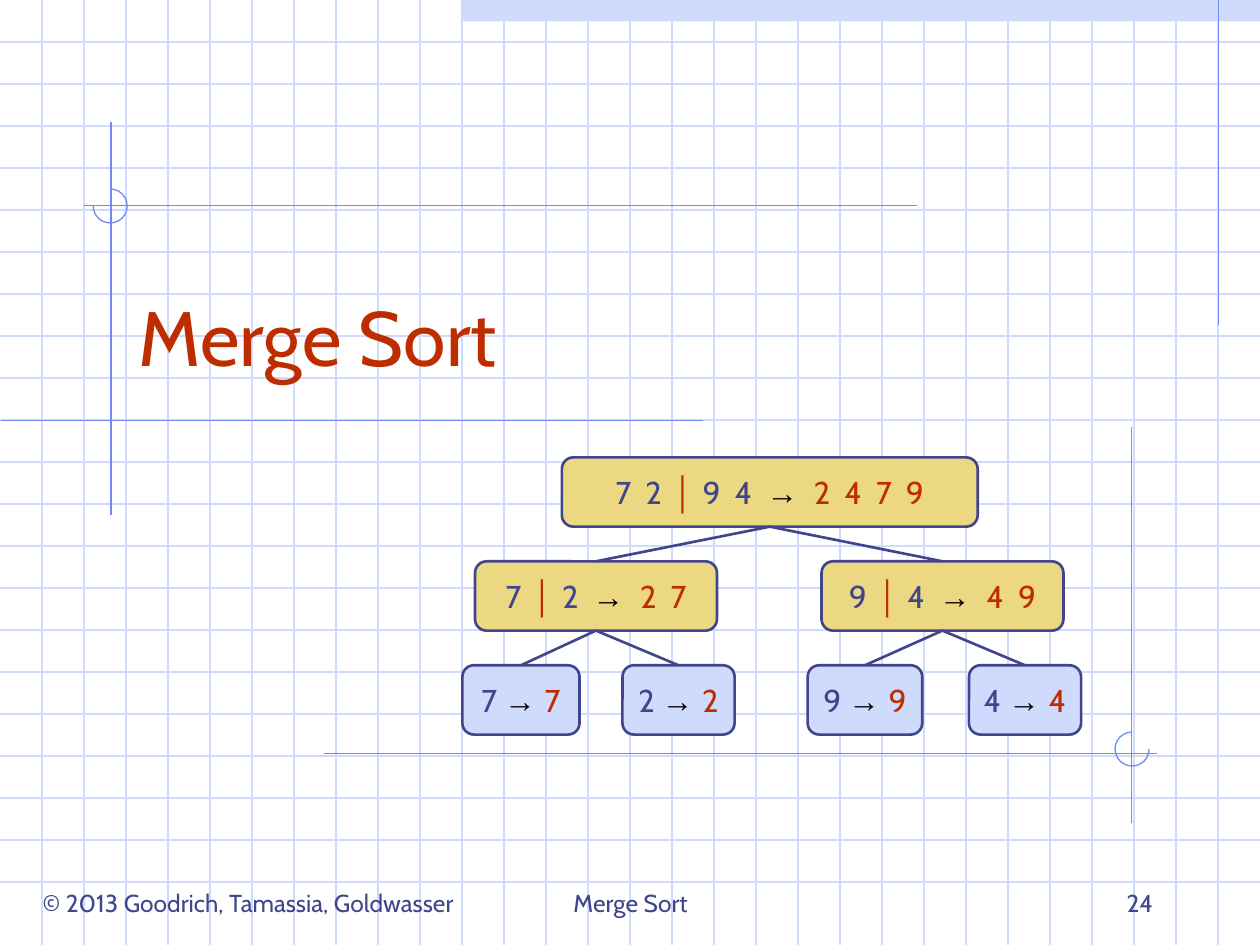
import pptx
import pptx.dml.color
import pptx.enum.shapes
import pptx.enum.text
import pptx.oxml.ns
import pptx.util

Inches = pptx.util.Inches
SHAPES = pptx.enum.shapes.MSO_SHAPE
ALIGN = pptx.enum.text.PP_ALIGN
ANCHOR = pptx.enum.text.MSO_ANCHOR

PALE, GUIDE, NAVY = "CFDBFD", "6F89F7", "40458C"
RED, GOLD, BLACK = "BE2D00", "ECD882", "000000"
GRID_STEP = 1 / 3
WIDE = 200  # letter spacing of number lists, in hundredths of a point
RIGHT, LEFT, UP = 0, 108, 162  # arc angles, in units of 100000/60000 degree


def color(hex_code):
    return pptx.dml.color.RGBColor.from_string(hex_code)


def set_line(shape, hex_code, points):
    shape.line.color.rgb = color(hex_code)
    shape.line.width = pptx.util.Pt(points)


def set_fill(shape, hex_code):
    shape.shadow.inherit = False
    shape.fill.solid()
    shape.fill.fore_color.rgb = color(hex_code)


def add_line(slide, x1, y1, x2, y2, hex_code, points=0.75):
    line = slide.shapes.add_connector(
        pptx.enum.shapes.MSO_CONNECTOR.STRAIGHT, *map(Inches, (x1, y1, x2, y2)))
    set_line(line, hex_code, points)
    pptx.oxml.ns.qn("a:effectLst")
    properties = line._element.spPr
    properties.append(properties.makeelement(pptx.oxml.ns.qn("a:effectLst"), {}))
    return line


def format_frame(frame, **values):
    for name, value in values.items():
        setattr(frame, name, value)


def add_run(paragraph, text, size, hex_code, font="Cabin", bold=False, spacing=0):
    run = paragraph.add_run()
    run.text = text
    look = {"name": font, "size": pptx.util.Pt(size), "bold": bold}
    for name, value in look.items():
        setattr(run.font, name, value)
    run.font.color.rgb = color(hex_code)
    if spacing:
        run._r.get_or_add_rPr().set("spc", str(spacing))


def add_grid(slide, left, top, width, height):
    for row in range(1, round(height / GRID_STEP)):
        y = top + row * GRID_STEP
        add_line(slide, left, y, left + width, y, PALE)
    # The last row falls inside the half step at the bottom edge
    for column in range(1, round(width / GRID_STEP)):
        x = left + column * GRID_STEP
        add_line(slide, x, top, x, top + height, PALE)


def add_guides(slide, left, top, width):
    # Top band
    band = slide.shapes.add_shape(
        SHAPES.RECTANGLE, *map(Inches, (left + 3.67, top, width - 3.67, 0.17)))
    set_fill(band, PALE)
    band.line.fill.background()

    # Rules around the title and the tree
    rules = [(9.67, 0, 9.67, 2.58), (0.88, 0.97, 0.88, 4.09),
             (0.01, 3.34, 5.58, 3.34), (0.67, 1.63, 7.28, 1.63),
             (2.57, 5.98, 9.18, 5.98), (8.98, 3.39, 8.98, 6.53)]
    for x1, y1, x2, y2 in rules:
        add_line(slide, left + x1, top + y1, left + x2, top + y2, GUIDE)

    # Three-quarter circles where rules cross
    for x, y, start, end in [(0.74, 1.5, UP, LEFT), (8.85, 5.81, RIGHT, UP)]:
        arc = slide.shapes.add_shape(
            SHAPES.ARC, *map(Inches, (left + x, top + y, 0.27, 0.27)))
        arc.adjustments[0], arc.adjustments[1] = start, end
        arc.shadow.inherit = False
        arc.fill.background()
        set_line(arc, GUIDE, 0.75)


def add_title(slide, left, top, width, height):
    title = slide.shapes.title
    box = {"left": left, "top": top, "width": width, "height": height}
    for name, value in box.items():
        setattr(title, name, Inches(value))
    format_frame(title.text_frame, vertical_anchor=ANCHOR.BOTTOM, word_wrap=True,
                 auto_size=pptx.enum.text.MSO_AUTO_SIZE.NONE)
    heading = title.text_frame.paragraphs[0]
    heading.alignment = ALIGN.LEFT
    add_run(heading, "Merge Sort", 44, RED)
    slide.shapes._spTree.append(title._element)  # in front of the grid


def add_footer(slide, left, top, height):
    parts = [("© 2013 Goodrich, Tamassia, Goldwasser", 0.03, 3.88, ALIGN.CENTER),
             ("Merge Sort", 3.42, 3.17, ALIGN.CENTER),
             ("24", 7.17, 2.08, ALIGN.RIGHT)]
    for text, x, width, alignment in parts:
        footer = slide.shapes.add_textbox(
            *map(Inches, (left + x, top, width, height)))
        format_frame(footer.text_frame, word_wrap=True,
                     vertical_anchor=ANCHOR.BOTTOM)
        paragraph = footer.text_frame.paragraphs[0]
        paragraph.alignment = alignment
        add_run(paragraph, text, 14, NAVY)


def add_node(slide, left, top, width, height, halves, merged):
    is_leaf = len(halves) == 1
    node = slide.shapes.add_shape(
        SHAPES.ROUNDED_RECTANGLE, *map(Inches, (left, top, width, height)))
    set_fill(node, PALE if is_leaf else GOLD)
    set_line(node, NAVY, 1.5)
    format_frame(node.text_frame, word_wrap=False, vertical_anchor=ANCHOR.MIDDLE)
    paragraph = node.text_frame.paragraphs[0]
    paragraph.alignment = ALIGN.CENTER
    spacing = 0 if is_leaf else WIDE
    if not is_leaf:
        add_run(paragraph, halves[0], 18, NAVY, spacing=spacing)
        add_run(paragraph, " │ ", 18, RED, "Arial", True)
    add_run(paragraph, halves[-1] + " ", 18, NAVY, spacing=spacing)
    add_run(paragraph, "→ ", 18, BLACK, "Arial", True, spacing)
    add_run(paragraph, merged, 18, RED, spacing=spacing)
    return node


def add_merge_tree(slide, left, top, height):
    node_height = 0.55
    level_step = (height - node_height) / 2
    # Level, offset, width, unsorted halves, sorted result; parents first
    steps = [(0, 0.79, 3.3, ["7 2", "9 4"], "2 4 7 9"),
             (1, 0.1, 1.92, ["7", "2"], "2 7"),
             (1, 2.85, 1.92, ["9", "4"], "4 9"),
             (2, 0, 0.93, ["7"], "7"),
             (2, 1.27, 0.89, ["2"], "2"),
             (2, 2.74, 0.91, ["9"], "9"),
             (2, 4.02, 0.89, ["4"], "4")]
    nodes = [add_node(slide, left + x, top + level * level_step, width,
                      node_height, halves, merged)
             for level, x, width, halves, merged in steps]

    # Branches from the bottom of each parent to the top of its child
    for index, child in enumerate(nodes[1:], start=1):
        branch = add_line(slide, left, top, left, top, NAVY, 1.5)
        branch.begin_connect(nodes[(index - 1) // 2], 2)
        branch.end_connect(child, 0)


def main():
    deck = pptx.Presentation()
    deck.slide_width, deck.slide_height = Inches(10), Inches(7.5)
    slide = deck.slides.add_slide(deck.slide_layouts.get_by_name("Title Only"))
    add_grid(slide, 0, 0, 10, 7.5)
    add_guides(slide, 0, 0, 10)
    add_footer(slide, 0, 6.83, 0.5)
    add_title(slide, 1, 1.83, 8.5, 1.25)
    add_merge_tree(slide, 3.67, 3.63, 2.2)
    deck.save("out.pptx")


if __name__ == "__main__":
    main()
